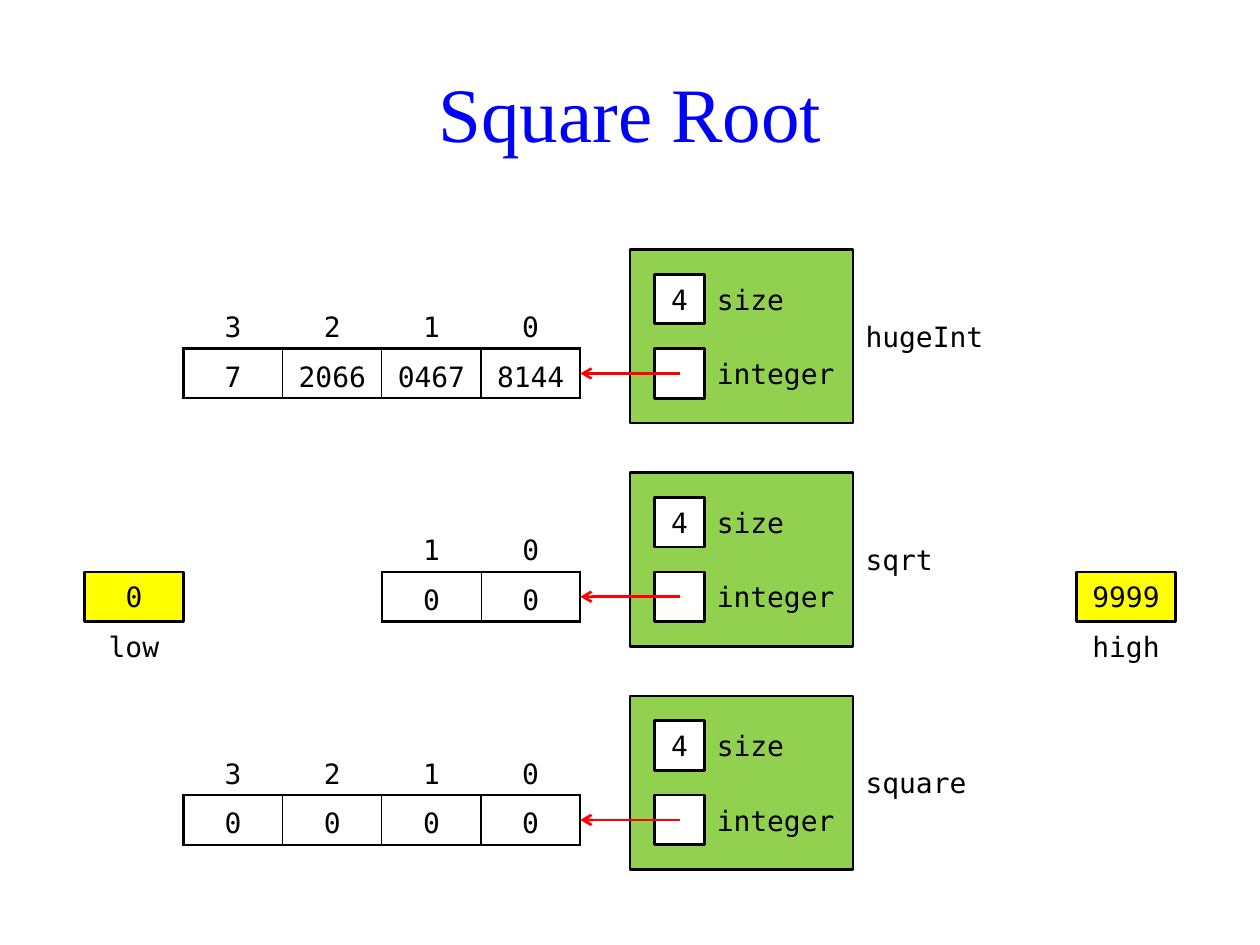
from dataclasses import dataclass

from lxml.etree import SubElement
from pptx import Presentation
from pptx.dml.color import RGBColor
from pptx.enum.shapes import MSO_CONNECTOR, MSO_SHAPE
from pptx.enum.text import MSO_ANCHOR, PP_ALIGN
from pptx.oxml.ns import qn
from pptx.util import Inches, Pt

UNIT = 0.5 / 2.54  # the drawing sits on a half-centimetre grid
OBJECT_LEFT = 5.0
FIRST_TOP = 1.98
OBJECT_PITCH = 9 * UNIT
CELL_WIDTH, CELL_HEIGHT = 4 * UNIT, 2 * UNIT
MONO = "DejaVu Sans Mono"
BLACK, WHITE, RED, GREEN, YELLOW = "000000", "FFFFFF", "FF0000", "92D050", "FFFF00"
NO_STYLE = "{2D5ABB26-0587-4C30-8999-92F81FD0307C}"


@dataclass
class HugeInteger:
    name: str
    digits: list[str]


@dataclass
class Bound:
    name: str
    value: str
    left: float


OBJECTS = [
    HugeInteger("hugeInt", ["7", "2066", "0467", "8144"]),
    HugeInteger("sqrt", ["0", "0"]),
    HugeInteger("square", ["0", "0", "0", "0"]),
]
BOUNDS = [
    Bound("low", "0", OBJECT_LEFT - 22 * UNIT),
    Bound("high", "9999", OBJECT_LEFT + 18 * UNIT),
]


def color(value: str) -> RGBColor:
    return RGBColor.from_string(value)


def write(frame, text: str, align=PP_ALIGN.CENTER, size: int = 16,
          font: str = MONO, ink: str = BLACK):
    frame.vertical_anchor = MSO_ANCHOR.MIDDLE
    para = frame.paragraphs[0]
    para.alignment = align
    span = para.add_run()
    span.text = text
    span.font.size = Pt(size)
    span.font.name = font
    span.font.color.rgb = color(ink)
    return para


def add_box(page, left: float, top: float, width: float, height: float,
            fill: str, text: str = "") -> None:
    box = page.shapes.add_shape(MSO_SHAPE.RECTANGLE, Inches(left), Inches(top),
                                Inches(width), Inches(height))
    box.shadow.inherit = False
    box.fill.solid()
    box.fill.fore_color.rgb = color(fill)
    box.line.color.rgb = color(BLACK)
    box.line.width = Pt(1.5)
    if text:
        frame = box.text_frame
        frame.margin_left = frame.margin_right = 0
        frame.margin_top = frame.margin_bottom = 0
        write(frame, text)


def add_label(page, left: float, top: float, width: float, height: float,
              text: str, align=PP_ALIGN.LEFT) -> None:
    label = page.shapes.add_textbox(Inches(left), Inches(top),
                                    Inches(width), Inches(height))
    frame = label.text_frame
    frame.word_wrap = False
    frame.margin_top = frame.margin_bottom = 0
    write(frame, text, align)


def add_border(cell, side: str, width: float) -> None:
    properties = cell._tc.get_or_add_tcPr()
    line = SubElement(properties, qn(f"a:ln{side}"), w=str(Pt(width)))
    fill = SubElement(line, qn("a:solidFill"))
    SubElement(fill, qn("a:srgbClr"), val=BLACK)


def add_digits(page, top: float, digits: list[str]) -> None:
    """Draw the digit array with its indexes above, ending left of the object."""
    count = len(digits)
    width = count * CELL_WIDTH
    frame = page.shapes.add_table(
        2, count, Inches(OBJECT_LEFT - 2 * UNIT - width), Inches(top),
        Inches(width), Inches(2 * CELL_HEIGHT))
    table = frame.table
    table.first_row = table.horz_banding = False
    table._tbl.tblPr.find(qn("a:tableStyleId")).text = NO_STYLE
    for row in table.rows:
        row.height = Inches(CELL_HEIGHT)
    for column, digit in enumerate(digits):
        table.columns[column].width = Inches(CELL_WIDTH)
        for row, text in enumerate([str(count - 1 - column), digit]):
            cell = table.cell(row, column)
            cell.margin_left = cell.margin_right = 0
            cell.margin_top = cell.margin_bottom = 0
            cell.vertical_anchor = MSO_ANCHOR.MIDDLE
            write(cell.text_frame, text).line_spacing = 1.25
            if row == 1:
                add_border(cell, "L", 1.5 if column == 0 else 0.75)
                add_border(cell, "R", 1.5 if column == count - 1 else 0.75)
                add_border(cell, "T", 1.5)
            add_border(cell, "B", 1.5)
            cell.fill.background()


def add_arrow(page, start: float, end: float, y: float) -> None:
    arrow = page.shapes.add_connector(MSO_CONNECTOR.STRAIGHT, Inches(start),
                                      Inches(y), Inches(end), Inches(y))
    arrow.line.color.rgb = color(RED)
    arrow.line.width = Pt(1.5)
    SubElement(arrow.line._get_or_add_ln(), qn("a:tailEnd"), type="arrow")
    SubElement(arrow._element.spPr, qn("a:effectLst"))


def add_object(page, top: float, item: HugeInteger) -> None:
    add_digits(page, top + 2 * UNIT, item.digits)
    add_box(page, OBJECT_LEFT, top, 9 * UNIT, 7 * UNIT, GREEN)
    for field, value, offset in [("size", "4", 1), ("integer", "", 4)]:
        field_top = top + offset * UNIT
        add_box(page, OBJECT_LEFT + UNIT, field_top, 2 * UNIT, 2 * UNIT, WHITE, value)
        add_label(page, OBJECT_LEFT + 3 * UNIT, field_top, 6 * UNIT, 2 * UNIT, field)
    add_label(page, OBJECT_LEFT + 9 * UNIT, top + 2 * UNIT, 6 * UNIT, 3 * UNIT, item.name)
    add_arrow(page, OBJECT_LEFT + 2 * UNIT, OBJECT_LEFT - 2 * UNIT, top + 5 * UNIT)


def add_bound(page, top: float, bound: Bound) -> None:
    add_box(page, bound.left, top, CELL_WIDTH, CELL_HEIGHT, YELLOW, bound.value)
    add_label(page, bound.left, top + CELL_HEIGHT, CELL_WIDTH, CELL_HEIGHT,
              bound.name, PP_ALIGN.CENTER)


def main() -> None:
    deck = Presentation()
    deck.slide_width, deck.slide_height = Inches(10), Inches(7.5)
    page = deck.slides.add_slide(deck.slide_layouts[5])
    title = page.shapes.title
    title.left, title.top = Inches(0.47), Inches(0.4)
    title.width, title.height = Inches(9.06), Inches(0.98)
    write(title.text_frame, "Square Root", size=44, font="Times New Roman", ink="0000FF")
    for index, item in enumerate(OBJECTS):
        add_object(page, FIRST_TOP + index * OBJECT_PITCH, item)
    for bound in BOUNDS:
        add_bound(page, FIRST_TOP + OBJECT_PITCH + 4 * UNIT, bound)
    deck.save("out.pptx")


if __name__ == "__main__":
    main()
